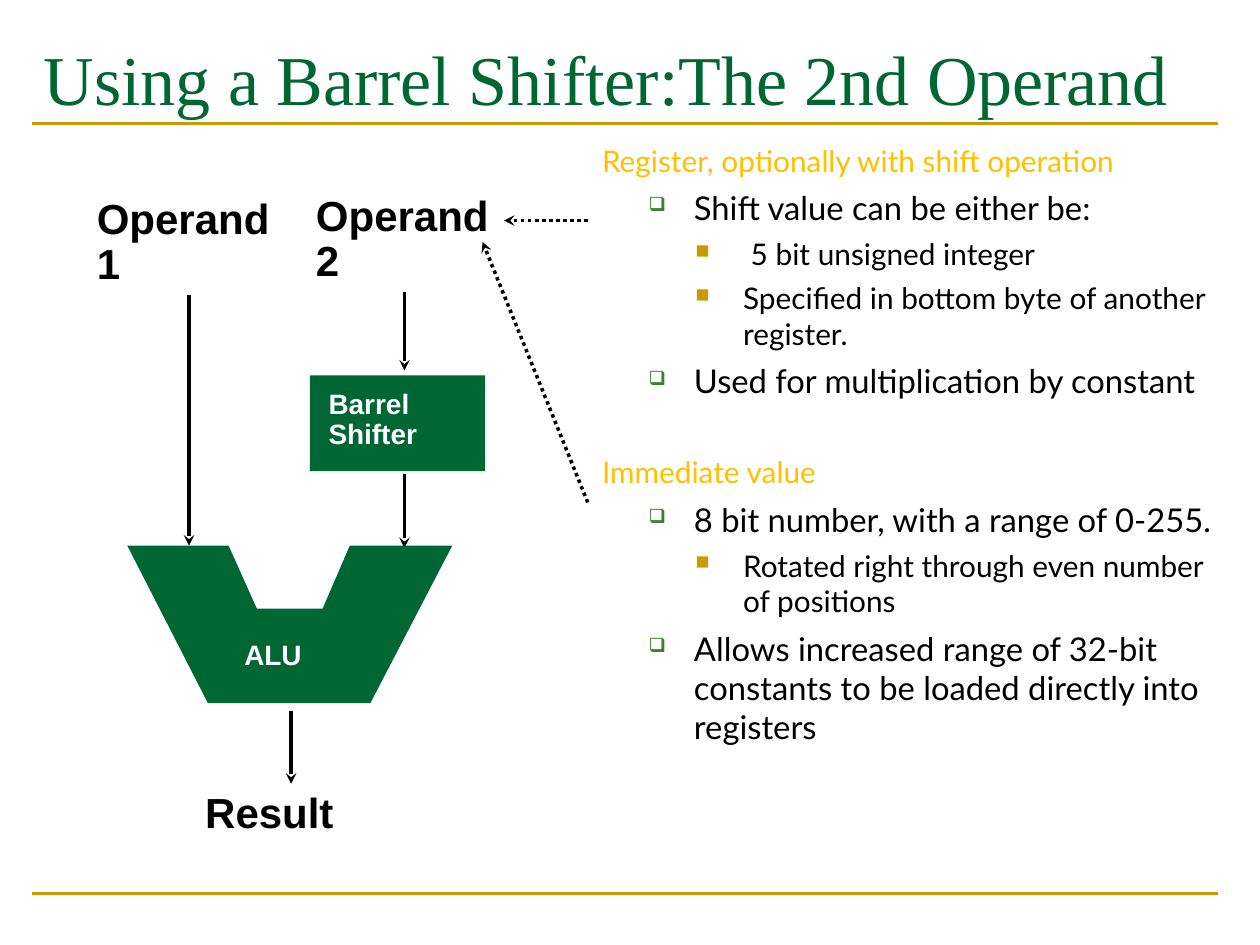
from lxml.etree import SubElement
from pptx import Presentation
from pptx.dml.color import RGBColor
from pptx.enum.dml import MSO_LINE
from pptx.enum.shapes import MSO_CONNECTOR, MSO_SHAPE
from pptx.enum.text import MSO_ANCHOR
from pptx.oxml.ns import qn
from pptx.util import Inches, Pt

GREEN = RGBColor(0x00, 0x66, 0x33)
GOLD = RGBColor(0xCC, 0x99, 0x00)
AMBER = RGBColor(0xFF, 0xC0, 0x00)
LEAF = RGBColor(0x3B, 0x81, 0x2F)
BLACK = RGBColor(0x00, 0x00, 0x00)
WHITE = RGBColor(0xFF, 0xFF, 0xFF)

LEVELS = [
    dict(margin=0.38, indent=-0.38, before=5, size=17, color=AMBER, bullet=None),
    dict(margin=0.73, indent=-0.36, before=5.5, size=18.7, color=BLACK, bullet=("❑", LEAF, 60)),
    dict(margin=1.12, indent=-0.38, before=5, size=17, color=BLACK, bullet=("■", GOLD, 65)),
]

SECTIONS = [
    [
        (0, "Register, optionally with shift operation"),
        (1, "Shift value can be either be:"),
        (2, " 5 bit unsigned integer"),
        (2, "Specified in bottom byte of another register."),
        (1, "Used for multiplication by constant"),
    ],
    [
        (0, "Immediate value"),
        (1, "8 bit number, with a range of 0-255."),
        (2, "Rotated right through even number of positions"),
        (1, "Allows increased range of 32-bit constants to be loaded directly into registers"),
    ],
]
SECTION_GAP = 30.7


class SlideBuilder:
    label_font = "Arial"
    body_font = "Lato"
    title_font = "Times New Roman"

    def __init__(self, prs):
        self.slide = prs.slides.add_slide(prs.slide_layouts[6])
        self.shapes = self.slide.shapes

    def format_runs(self, p, font, size, color, bold=False):
        for r in p.runs:
            r.font.name = font
            r.font.size = Pt(size)
            r.font.bold = bold
            r.font.color.rgb = color

    def box(self, x, y, w, h):
        sp = self.shapes.add_textbox(Inches(x), Inches(y), Inches(w), Inches(h))
        sp.text_frame.word_wrap = True
        return sp

    def title(self, text, x, y, w, h):
        p = self.box(x, y, w, h).text_frame.paragraphs[0]
        p.text = text
        self.format_runs(p, self.title_font, 40, GREEN)

    def label(self, text, x, y, w, h, size=24, color=BLACK, anchor=MSO_ANCHOR.TOP):
        sp = self.box(x, y, w, h)
        sp.text_frame.vertical_anchor = anchor
        p = sp.text_frame.paragraphs[0]
        p.text = text
        p.line_spacing = 0.9
        self.format_runs(p, self.label_font, size, color, bold=True)
        return sp

    def paint(self, sp, color):
        sp.shadow.inherit = False
        sp.fill.solid()
        sp.fill.fore_color.rgb = color
        sp.line.fill.background()

    def rect(self, x, y, w, h):
        sp = self.shapes.add_shape(MSO_SHAPE.RECTANGLE, Inches(x), Inches(y), Inches(w), Inches(h))
        self.paint(sp, GREEN)

    def polygon(self, points, color):
        (x, y), *rest = [(Inches(px), Inches(py)) for px, py in points]
        builder = self.shapes.build_freeform(x, y)
        builder.add_line_segments(rest, close=True)
        self.paint(builder.convert_to_shape(), color)

    def line(self, x1, y1, x2, y2, color=BLACK, width=2, dash=None, arrow=None):
        cn = self.shapes.add_connector(
            MSO_CONNECTOR.STRAIGHT, Inches(x1), Inches(y1), Inches(x2), Inches(y2))
        cn.line.color.rgb = color
        cn.line.width = Pt(width)
        if dash:
            cn.line.dash_style = dash
        if arrow:
            SubElement(cn.line._get_or_add_ln(), qn("a:" + arrow), type="stealth")
        SubElement(cn._element.spPr, qn("a:effectLst"))
        return cn

    def bullet(self, p, char, color, percent):
        pPr = p._p.get_or_add_pPr()
        clr = SubElement(pPr, qn("a:buClr"))
        SubElement(clr, qn("a:srgbClr"), val=str(color))
        SubElement(pPr, qn("a:buSzPct"), val=str(percent * 1000))
        SubElement(pPr, qn("a:buChar"), char=char)

    def outline(self, sections, x, y, w, h):
        tf = self.box(x, y, w, h).text_frame
        first = True
        for section in sections:
            for row, (level, text) in enumerate(section):
                style = LEVELS[level]
                p = tf.paragraphs[0] if first else tf.add_paragraph()
                p.text = text
                p.level = level
                pPr = p._p.get_or_add_pPr()
                pPr.set("marL", str(Inches(style["margin"])))
                pPr.set("indent", str(Inches(style["indent"])))
                if style["bullet"]:
                    self.bullet(p, *style["bullet"])
                if not first:
                    p.space_before = Pt(style["before"] if row else SECTION_GAP)
                self.format_runs(p, self.body_font, style["size"], style["color"])
                first = False


def main():
    prs = Presentation()
    prs.slide_width, prs.slide_height = Inches(10), Inches(7.5)
    s = SlideBuilder(prs)

    for y in (7.09, 0.98):
        s.line(0.25, y, 9.67, y, color=GOLD, width=1.5)
    s.outline(SECTIONS, 4.68, 1.08, 5.17, 5.58)

    for start, end in [((4, 1.75), (4.67, 1.75)), ((3.83, 1.92), (4.67, 4))]:
        s.line(*start, *end, dash=MSO_LINE.ROUND_DOT, arrow="headEnd")

    s.label("Result", 1.53, 6.24, 1.59, 0.46)
    s.label("Operand 1", 0.67, 1.52, 1.59, 0.82)
    operand2 = s.label("Operand 2", 2.41, 1.5, 1.6, 0.82)

    s.rect(2.46, 2.98, 1.39, 0.76)
    s.label("Barrel\nShifter", 2.51, 3, 1.3, 0.67, 16, WHITE, MSO_ANCHOR.MIDDLE)

    to_shifter = s.line(3.21, 2.32, 3.21, 2.94, arrow="tailEnd")
    to_shifter.begin_connect(operand2, 2)
    for x, top, bottom in [(1.5, 2.34, 4.33), (3.21, 3.76, 4.35), (2.31, 5.64, 6.22)]:
        s.line(x, top, x, bottom, arrow="tailEnd")

    s.polygon([(1.01, 4.33), (1.65, 5.58), (2.94, 5.58), (3.59, 4.33)], GREEN)
    s.polygon([(1.78, 4.25), (2.04, 4.83), (2.56, 4.83), (2.81, 4.25)], WHITE)
    s.label("ALU", 1.84, 5.04, 0.95, 0.34, 16, WHITE)

    s.title("Using a Barrel Shifter:The 2nd Operand", 0.25, 0.23, 9.42, 0.75)
    prs.save("out.pptx")


if __name__ == "__main__":
    main()
